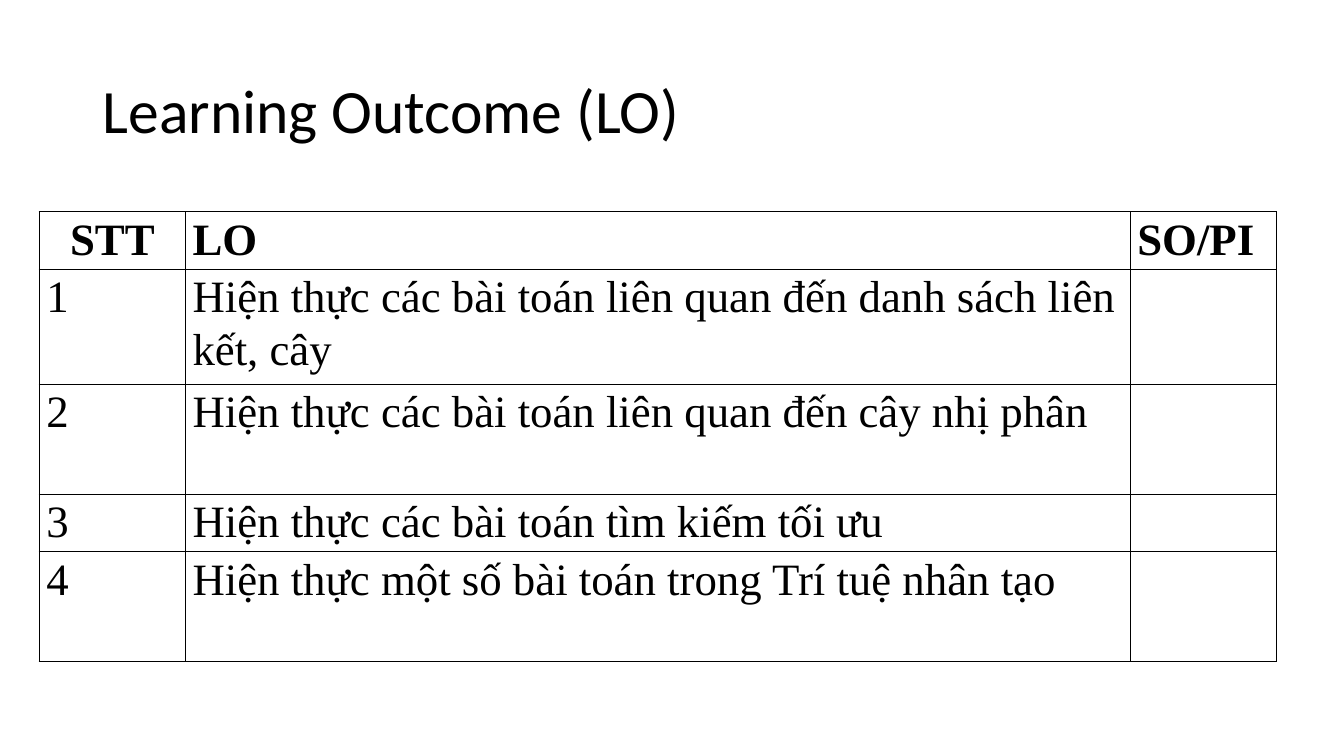
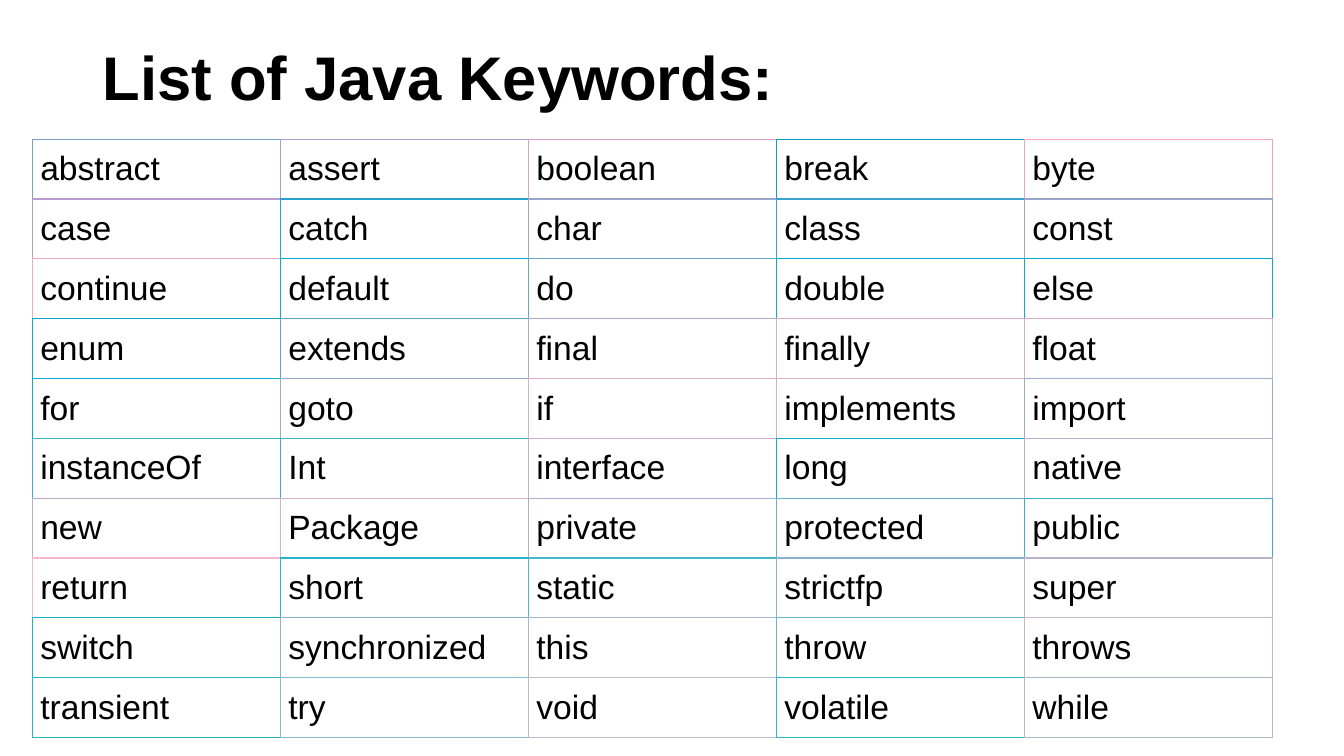
from lxml.etree import SubElement
from pptx import Presentation
from pptx.dml.color import RGBColor
from pptx.enum.text import MSO_ANCHOR as Anchor, PP_ALIGN as Align
from pptx.oxml.ns import qn
from pptx.util import Inches, Pt

BLACK = RGBColor(0x00, 0x00, 0x00)
WHITE = RGBColor(0xFF, 0xFF, 0xFF)
BORDER_COLORS = [
    [RGBColor.from_string(code) for code in row.split()]
    for row in (
        "789FCC A89FCC D89FCC 08A0CC F8A0CC",
        "B89BCC 28A1CC 98A6CC 38A3CC 98A6CC",
        "F8A6CC 08ACCC 68A9CC 08A9CC 08A9CC",
        "08A9CC 58A7CC A8ABCC D8ABCC D8ABCC",
        "08ACCC 98ACCC D8AECC D8AECC 98AFCC",
        "38B2CC 38B2CC C8AFCC 08AFCC B8ADCC",
        "B8ADCC D8AECC A8B1CC 68B2CC 38B2CC",
        "F8B8CC 28B3CC 48B7CC 88B3CC B8B3CC",
        "18B4CC 88B6CC A8B4CC 68B5CC C8B5CC",
        "28B6CC 88BCCC B8BCCC 28B9CC A8BACC",
    )
]

OUTCOMES = [
    ("STT", "LO", "SO/PI"),
    ("1", "Hiện thực các bài toán liên quan đến danh sách liên kết, cây", ""),
    ("2", "Hiện thực các bài toán liên quan đến cây nhị phân", ""),
    ("3", "Hiện thực các bài toán tìm kiếm tối ưu", ""),
    ("4", "Hiện thực một số bài toán trong Trí tuệ nhân tạo", ""),
]
KEYWORDS = [
    row.split()
    for row in (
        "abstract assert boolean break byte",
        "case catch char class const",
        "continue default do double else",
        "enum extends final finally float",
        "for goto if implements import",
        "instanceOf Int interface long native",
        "new Package private protected public",
        "return short static strictfp super",
        "switch synchronized this throw throws",
        "transient try void volatile while",
    )
]


def style_font(paragraph, name, size, bold=False):
    """Give every run of a paragraph the same black font."""
    for run in paragraph.runs:
        run.font.name = name
        run.font.size = Pt(size)
        run.font.bold = bold
        run.font.color.rgb = BLACK


def add_title(slide, text, font_name, height, bold=False):
    """Place the slide title, centred vertically in its box."""
    title = slide.shapes.add_textbox(Inches(0.92), Inches(0.4), Inches(11.5), Inches(height))
    frame = title.text_frame
    frame.word_wrap = True
    frame.vertical_anchor = Anchor.MIDDLE
    frame.text = text
    heading = frame.paragraphs[0]
    heading.line_spacing = 0.9
    style_font(heading, font_name, 44, bold)


def set_borders(cell, left, right, top, bottom):
    """Draw the four cell borders, each given as a colour and a width in points."""
    properties = cell._tc.get_or_add_tcPr()
    for side, (color, width) in zip("LRTB", (left, right, top, bottom)):
        line = SubElement(properties, qn(f"a:ln{side}"), w=str(Pt(width)))
        fill = SubElement(line, qn("a:solidFill"))
        SubElement(fill, qn("a:srgbClr"), val=str(color))


def add_grid(slide, left, top, widths, heights, texts):
    """Add an unbanded table and fill in its texts."""
    table = slide.shapes.add_table(
        len(heights), len(widths), Inches(left), Inches(top),
        Inches(sum(widths)), Inches(sum(heights)),
    ).table
    table.first_row = table.horz_banding = False
    for column, width in zip(table.columns, widths):
        column.width = Inches(width)
    for row, height, row_texts in zip(table.rows, heights, texts):
        row.height = Inches(height)
        for cell, text in zip(row.cells, row_texts):
            cell.text_frame.text = text
    return table


def set_margins(cell, horizontal, vertical):
    """Set equal side margins and equal top and bottom margins."""
    cell.margin_left = cell.margin_right = Inches(horizontal)
    cell.margin_top = cell.margin_bottom = Inches(vertical)


def build_outcomes(slide):
    """Build the table of learning outcomes."""
    add_title(slide, "Learning Outcome (LO)", "Calibri", 1.45)
    table = add_grid(
        slide, 0.39, 2.1, (1.45, 9.37, 1.45), (0.55, 1.09, 1.09, 0.55, 1.09), OUTCOMES
    )
    for index, row in enumerate(table.rows):
        for cell in row.cells:
            set_borders(cell, *[(BLACK, 1)] * 4)
            cell.fill.background()
            set_margins(cell, 0.07, 0)
            entry = cell.text_frame.paragraphs[0]
            entry.line_spacing = 1.07
            style_font(entry, "Times New Roman", 32, bold=index == 0)
    table.cell(0, 0).text_frame.paragraphs[0].alignment = Align.CENTER


def neighbour_border(row, column, own):
    """Return the next cell's border, or a thinner own one at the table edge."""
    if row < len(BORDER_COLORS) and column < len(BORDER_COLORS[row]):
        return BORDER_COLORS[row][column], 1
    return own, 0.75


def build_keywords(slide):
    """Build the grid of keywords with coloured borders."""
    add_title(slide, "List of Java Keywords:", "Arial", 0.8, bold=True)
    table = add_grid(slide, 0.32, 1.38, [2.46] * 5, [0.594] * 10, KEYWORDS)
    for r, row in enumerate(table.rows):
        for c, cell in enumerate(row.cells):
            own = BORDER_COLORS[r][c]
            set_borders(
                cell, (own, 1), neighbour_border(r, c + 1, own),
                (own, 1), neighbour_border(r + 1, c, own),
            )
            cell.fill.solid()
            cell.fill.fore_color.rgb = WHITE
            cell.vertical_anchor = Anchor.MIDDLE
            set_margins(cell, 0.08, 0.08)
            style_font(cell.text_frame.paragraphs[0], "Arial", 24)


def main():
    """Build and save the presentation."""
    deck = Presentation()
    deck.slide_width, deck.slide_height = Inches(13.33), Inches(7.5)
    for build in (build_outcomes, build_keywords):
        build(deck.slides.add_slide(deck.slide_layouts[6]))
    deck.save("out.pptx")


if __name__ == "__main__":
    main()
